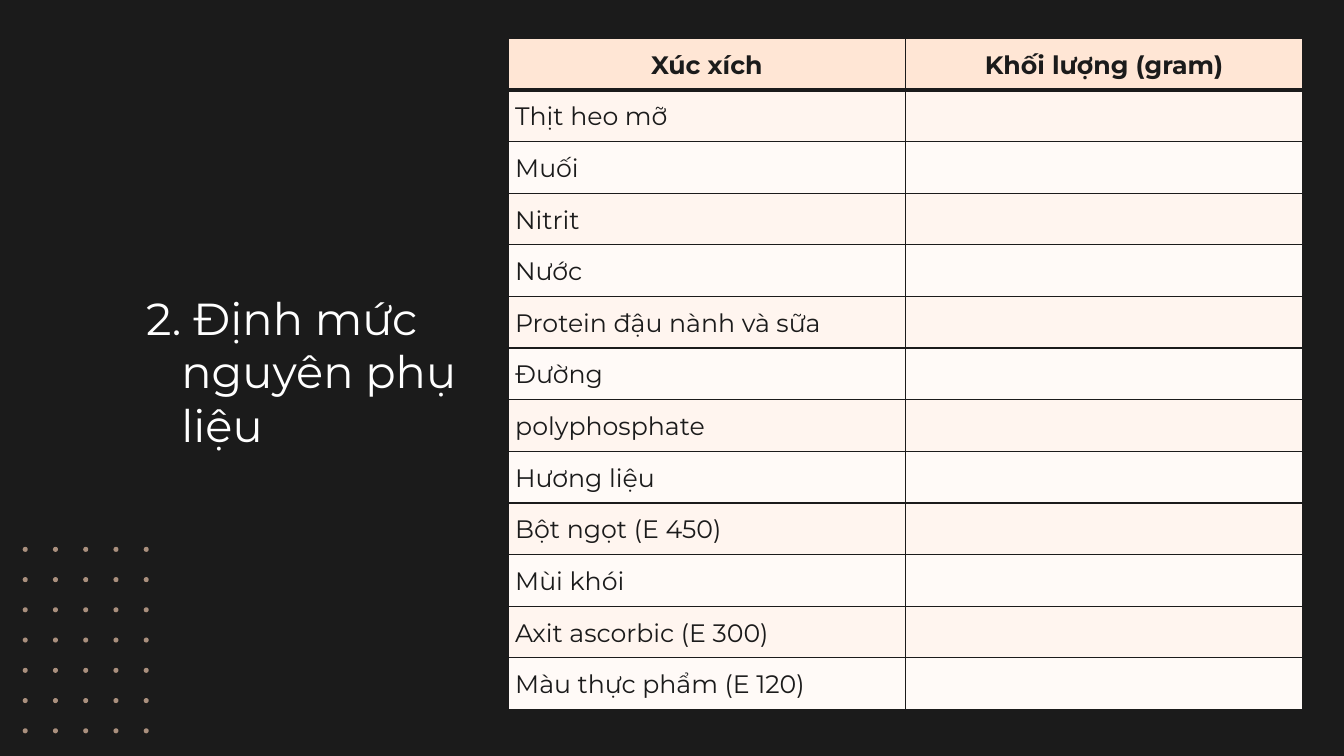
from lxml import etree
from pptx import Presentation
from pptx.dml.color import RGBColor
from pptx.enum.shapes import MSO_SHAPE
from pptx.enum.text import MSO_ANCHOR, PP_ALIGN
from pptx.oxml.ns import qn
from pptx.util import Inches, Pt

TITLE = "2. Định mức nguyên phụ liệu"
HEADERS = ("Xúc xích", "Khối lượng (gram)")
INGREDIENTS = [
    "Thịt heo mỡ",
    "Muối",
    "Nitrit",
    "Nước",
    "Protein đậu nành và sữa",
    "Đường",
    "polyphosphate",
    "Hương liệu",
    "Bột ngọt (E 450)",
    "Mùi khói",
    "Axit ascorbic (E 300)",
    "Màu thực phẩm (E 120)",
]

FONT = "Montserrat"
DARK = RGBColor(0x1B, 0x1B, 0x1B)
WHITE = RGBColor(0xFF, 0xFF, 0xFF)
HEADER_FILL = RGBColor(0xFF, 0xE6, 0xD5)
BAND_FILLS = (RGBColor(0xFF, 0xF5, 0xEF), RGBColor(0xFF, 0xFA, 0xF7))
DOT_COLOR = RGBColor(0xF5, 0xCD, 0xB2)
DOT_ALPHA = 66000

DOT_COLUMNS, DOT_ROWS = 5, 7
DOT_SIZE, DOT_STEP = 0.05, 0.3
DOT_LEFT, DOT_TOP = 0.25, 5.45


def style_font(font, size, color, bold=False):
    """Apply the slide typeface with a size, colour and weight."""
    font.name, font.size, font.bold = FONT, Pt(size), bold
    font.color.rgb = color


def set_borders(cell, top, bottom):
    """Draw dark borders with the given top and bottom widths in points."""
    properties = cell._tc.get_or_add_tcPr()
    widths = {"a:lnL": 1, "a:lnR": 1, "a:lnT": top, "a:lnB": bottom}
    for index, (tag, width) in enumerate(widths.items()):
        line = etree.Element(qn(tag), w=str(Pt(width)))
        fill = etree.SubElement(line, qn("a:solidFill"))
        etree.SubElement(fill, qn("a:srgbClr"), val=str(DARK))
        properties.insert(index, line)


def add_title(slide):
    """Add the numbered heading with its hanging indent."""
    box = slide.shapes.add_textbox(Inches(1.2), Inches(2.78), Inches(3.85), Inches(0.95))
    frame = box.text_frame
    frame.word_wrap = True
    frame.margin_left = frame.margin_right = Inches(0.1)
    frame.margin_top = frame.margin_bottom = Inches(0.1)
    paragraph = frame.paragraphs[0]
    paragraph.text = TITLE
    style_font(paragraph.font, 32, WHITE)
    indent = paragraph._p.get_or_add_pPr()
    indent.set("marL", str(Inches(0.5)))
    indent.set("indent", str(Inches(-0.35)))


def add_ingredient_table(slide):
    """Add the ingredient table with an empty weight column."""
    rows = [HEADERS] + [(name, "") for name in INGREDIENTS]
    frame = slide.shapes.add_table(
        len(rows), len(HEADERS), Inches(5.04), Inches(0.38), Inches(7.88), Inches(6.66)
    )
    for row, values in enumerate(rows):
        is_header = row == 0
        for column, value in enumerate(values):
            cell = frame.table.cell(row, column)
            cell.fill.solid()
            cell.fill.fore_color.rgb = HEADER_FILL if is_header else BAND_FILLS[(row - 1) % 2]
            cell.vertical_anchor = MSO_ANCHOR.MIDDLE
            cell.margin_left = cell.margin_right = Inches(0.07)
            cell.margin_top = cell.margin_bottom = 0
            set_borders(cell, top=3 if row == 1 else 1, bottom=3 if is_header else 1)
            paragraph = cell.text_frame.paragraphs[0]
            paragraph.text = value
            paragraph.line_spacing = 1.07
            paragraph.alignment = PP_ALIGN.CENTER if is_header else PP_ALIGN.LEFT
            style_font(paragraph.font, 18, DARK, bold=is_header)


def add_dot_grid(slide):
    """Add the grid of translucent dots in the lower left corner."""
    for column in range(DOT_COLUMNS):
        for row in range(DOT_ROWS):
            left = DOT_LEFT + column * DOT_STEP - DOT_SIZE / 2
            top = DOT_TOP + row * DOT_STEP - DOT_SIZE / 2
            dot = slide.shapes.add_shape(
                MSO_SHAPE.OVAL, Inches(left), Inches(top), Inches(DOT_SIZE), Inches(DOT_SIZE)
            )
            dot.shadow.inherit = False
            dot.line.fill.background()
            dot.fill.solid()
            dot.fill.fore_color.rgb = DOT_COLOR
            color = dot._element.spPr.find(qn("a:solidFill")).find(qn("a:srgbClr"))
            etree.SubElement(color, qn("a:alpha"), val=str(DOT_ALPHA))


def main():
    """Build the slide and save it."""
    presentation = Presentation()
    presentation.slide_width = Inches(13.33)
    presentation.slide_height = Inches(7.5)
    slide = presentation.slides.add_slide(presentation.slide_layouts[6])
    slide.background.fill.solid()
    slide.background.fill.fore_color.rgb = DARK
    add_title(slide)
    add_ingredient_table(slide)
    add_dot_grid(slide)
    presentation.save("out.pptx")


if __name__ == "__main__":
    main()
